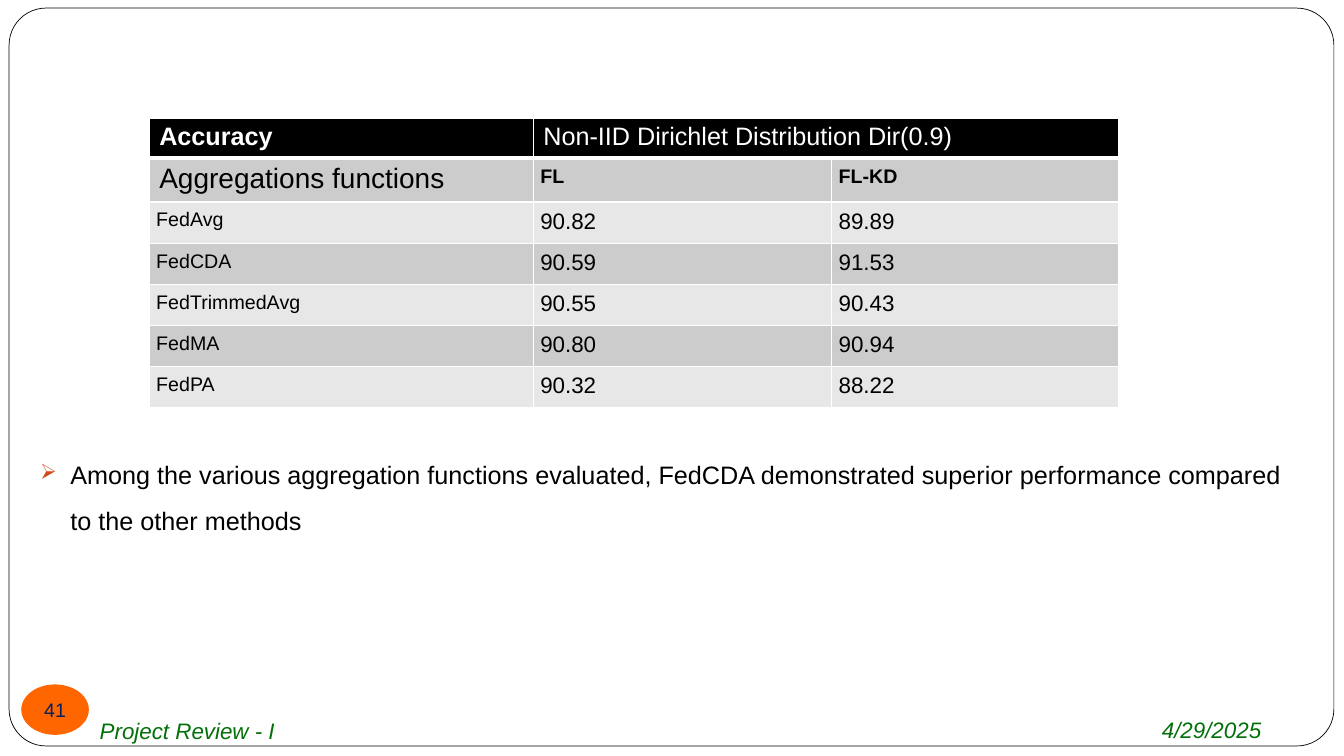
from dataclasses import dataclass

import lxml.etree
import pptx
import pptx.dml.color
import pptx.enum.shapes
import pptx.enum.text
import pptx.oxml.ns
import pptx.util

Align = pptx.enum.text.PP_ALIGN
Anchor = pptx.enum.text.MSO_ANCHOR
Kind = pptx.enum.shapes.MSO_SHAPE
qn = pptx.oxml.ns.qn

SLIDE_WIDTH = pptx.util.Inches(13.33)
SLIDE_HEIGHT = pptx.util.Inches(7.5)


@dataclass(frozen=True)
class Theme:
    font: str = "Arial"
    white: str = "FFFFFF"
    black: str = "000000"
    band_dark: str = "CCCCCC"
    band_light: str = "E7E7E7"
    footer: str = "047009"
    badge: str = "FF6600"
    badge_text: str = "002060"
    bullet: str = "D34817"
    small: int = 14
    medium: int = 16
    body: int = 18
    large: int = 20


@dataclass(frozen=True)
class Area:
    """Left, top, width and height in percent of the slide."""
    left: float
    top: float
    width: float
    height: float

    def box(self) -> tuple:
        return (across(self.left), down(self.top),
                across(self.width), down(self.height))


@dataclass(frozen=True)
class Footer:
    text: str
    area: Area
    align: Align


THEME = Theme()
FRAME = Area(0.68, 1.07, 98.57, 97.6)
BADGE = Area(1.58, 90.53, 5.03, 6.67)
FINDING = Area(2.25, 58.13, 95.57, 32.4)
FOOTERS = (
    Footer("4/29/2025", Area(67.5, 93.07, 27.08, 6.93), Align.RIGHT),
    Footer("Project Review - I", Area(6.68, 93.33, 43.36, 6.67), Align.LEFT),
)
COLUMN_WIDTHS = (28.58, 22.2, 21.38)
HEADER_HEIGHT, ROW_HEIGHT = 5, 5.45
ACCURACY = (
    ("Accuracy", "Non-IID Dirichlet Distribution Dir(0.9)", ""),
    ("Aggregations functions", "FL", "FL-KD"),
    ("FedAvg", "90.82", "89.89"),
    ("FedCDA", "90.59", "91.53"),
    ("FedTrimmedAvg", "90.55", "90.43"),
    ("FedMA", "90.80", "90.94"),
    ("FedPA", "90.32", "88.22"),
)
SCORES = Area(11.1, 15.6, sum(COLUMN_WIDTHS),
              HEADER_HEIGHT + ROW_HEIGHT * (len(ACCURACY) - 1))


def across(percent: float) -> int:
    return round(SLIDE_WIDTH * percent / 100)


def down(percent: float) -> int:
    return round(SLIDE_HEIGHT * percent / 100)


def rgb(colour: str) -> pptx.dml.color.RGBColor:
    return pptx.dml.color.RGBColor.from_string(colour)


def write(frame, text: str, *, size: int, colour: str = THEME.black,
          bold: bool = False, italic: bool = False,
          align: Align = Align.LEFT, anchor: Anchor = Anchor.TOP,
          wrap: bool = True):
    frame.word_wrap = wrap
    frame.vertical_anchor = anchor
    paragraph = frame.paragraphs[0]
    paragraph.alignment = align
    run = paragraph.add_run()
    run.text = text
    run.font.name = THEME.font
    run.font.size = pptx.util.Pt(size)
    run.font.bold = bold
    run.font.italic = italic
    run.font.color.rgb = rgb(colour)
    return paragraph


def add_plain_shape(slide, kind: Kind, area: Area, fill: str):
    shape = slide.shapes.add_shape(kind, *area.box())
    shape.shadow.inherit = False
    shape.fill.solid()
    shape.fill.fore_color.rgb = rgb(fill)
    shape.line.fill.background()
    return shape


def border_cell(cell, top: float, bottom: float) -> None:
    # Border elements come before the fill, in this order
    sides = {"a:lnL": 1, "a:lnR": 1, "a:lnT": top, "a:lnB": bottom}
    properties = cell._tc.get_or_add_tcPr()
    for position, (side, points) in enumerate(sides.items()):
        line = lxml.etree.Element(qn(side), w=str(pptx.util.Pt(points)))
        solid = lxml.etree.SubElement(line, qn("a:solidFill"))
        lxml.etree.SubElement(solid, qn("a:srgbClr"), val=THEME.white)
        properties.insert(position, line)


def cell_format(row: int, column: int) -> dict:
    if row == 0:
        return dict(size=THEME.body, colour=THEME.white, bold=column == 0)
    if row == 1:
        return (dict(size=THEME.small, bold=True) if column
                else dict(size=THEME.large))
    return dict(size=THEME.medium if column else THEME.small)


def add_scores(slide) -> None:
    scores = slide.shapes.add_table(
        len(ACCURACY), len(COLUMN_WIDTHS), *SCORES.box()).table
    for column, width in zip(scores.columns, COLUMN_WIDTHS):
        column.width = across(width)
    for r, labels in enumerate(ACCURACY):
        scores.rows[r].height = down(ROW_HEIGHT if r else HEADER_HEIGHT)
        fill = (THEME.band_dark if r % 2 else THEME.band_light) if r else THEME.black
        for c, label in enumerate(labels):
            cell = scores.cell(r, c)
            cell.fill.solid()
            cell.fill.fore_color.rgb = rgb(fill)
            border_cell(cell, top=3 if r == 1 else 1, bottom=1 if r else 3)
            if r > 1 or (r == 1 and c):
                cell.margin_left = cell.margin_right = pptx.util.Inches(0.07)
                cell.margin_top = cell.margin_bottom = pptx.util.Inches(0.07)
            if label:
                write(cell.text_frame, label, **cell_format(r, c))
    scores.cell(0, 1).merge(scores.cell(0, 2))


def add_bullet(paragraph) -> None:
    properties = paragraph._p.get_or_add_pPr()
    indent = pptx.util.Inches(0.3)
    properties.set("marL", str(indent))
    properties.set("indent", str(-indent))
    colour = lxml.etree.SubElement(properties, qn("a:buClr"))
    lxml.etree.SubElement(colour, qn("a:srgbClr"), val=THEME.bullet)
    lxml.etree.SubElement(properties, qn("a:buSzPct"), val="85000")
    lxml.etree.SubElement(properties, qn("a:buChar"), char="➢")


def main() -> None:
    deck = pptx.Presentation()
    deck.slide_width, deck.slide_height = SLIDE_WIDTH, SLIDE_HEIGHT
    slide = deck.slides.add_slide(deck.slide_layouts[6])

    # Rounded page frame
    frame = add_plain_shape(slide, Kind.ROUNDED_RECTANGLE, FRAME, THEME.white)
    frame.adjustments[0] = 0.05
    frame.line.color.rgb = rgb(THEME.black)
    frame.line.width = pptx.util.Pt(0.5)

    # Date and project name
    for footer in FOOTERS:
        box = slide.shapes.add_textbox(*footer.area.box())
        write(box.text_frame, footer.text, size=THEME.medium,
              colour=THEME.footer, italic=True, align=footer.align,
              anchor=Anchor.MIDDLE)

    # Page number
    badge = add_plain_shape(slide, Kind.OVAL, BADGE, THEME.badge).text_frame
    badge.margin_left = badge.margin_right = 0
    badge.margin_top = badge.margin_bottom = 0
    write(badge, "41", size=THEME.small, colour=THEME.badge_text,
          align=Align.CENTER, anchor=Anchor.MIDDLE, wrap=False)

    # Accuracy table
    add_scores(slide)

    # Finding below the table
    finding = write(
        slide.shapes.add_textbox(*FINDING.box()).text_frame,
        "Among the various aggregation functions evaluated, FedCDA demonstrated "
        "superior performance compared to the other methods", size=THEME.body)
    finding.line_spacing = 1.5
    finding.space_before = pptx.util.Pt(5.8)
    add_bullet(finding)

    deck.save("out.pptx")


if __name__ == "__main__":
    main()
